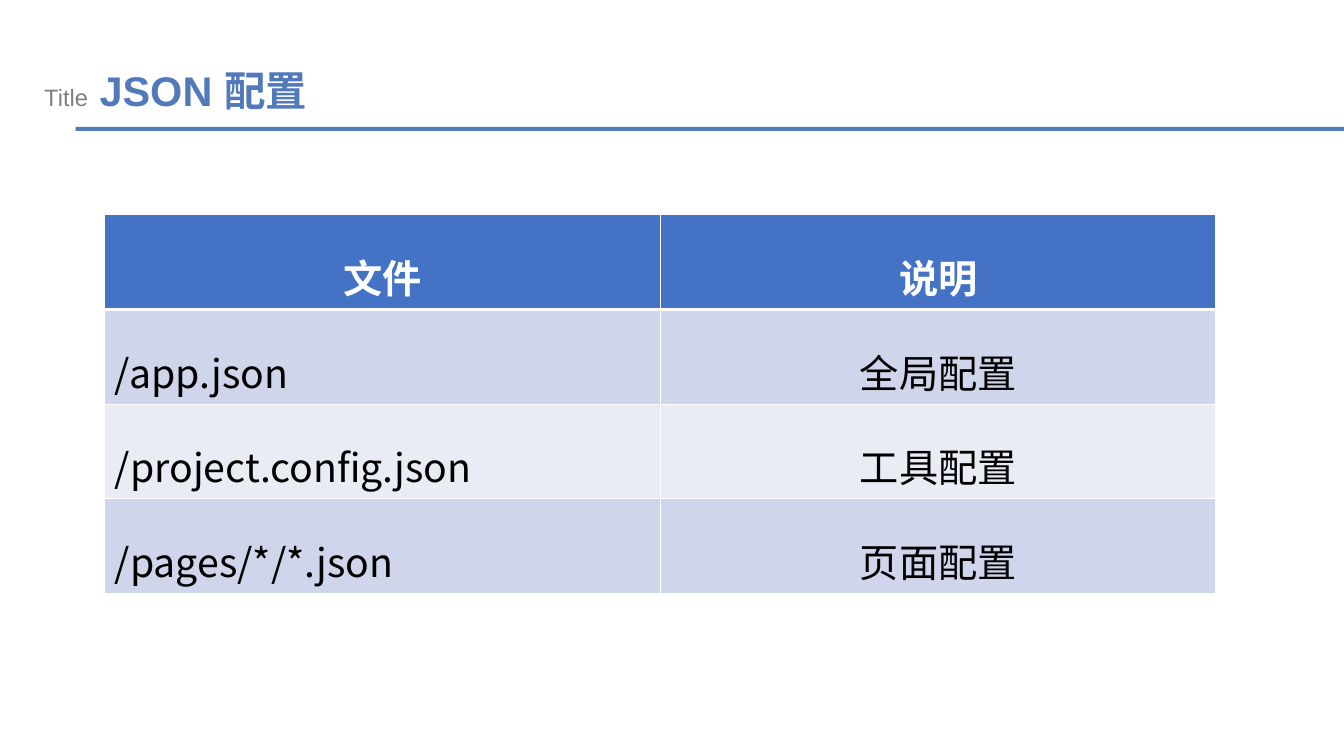
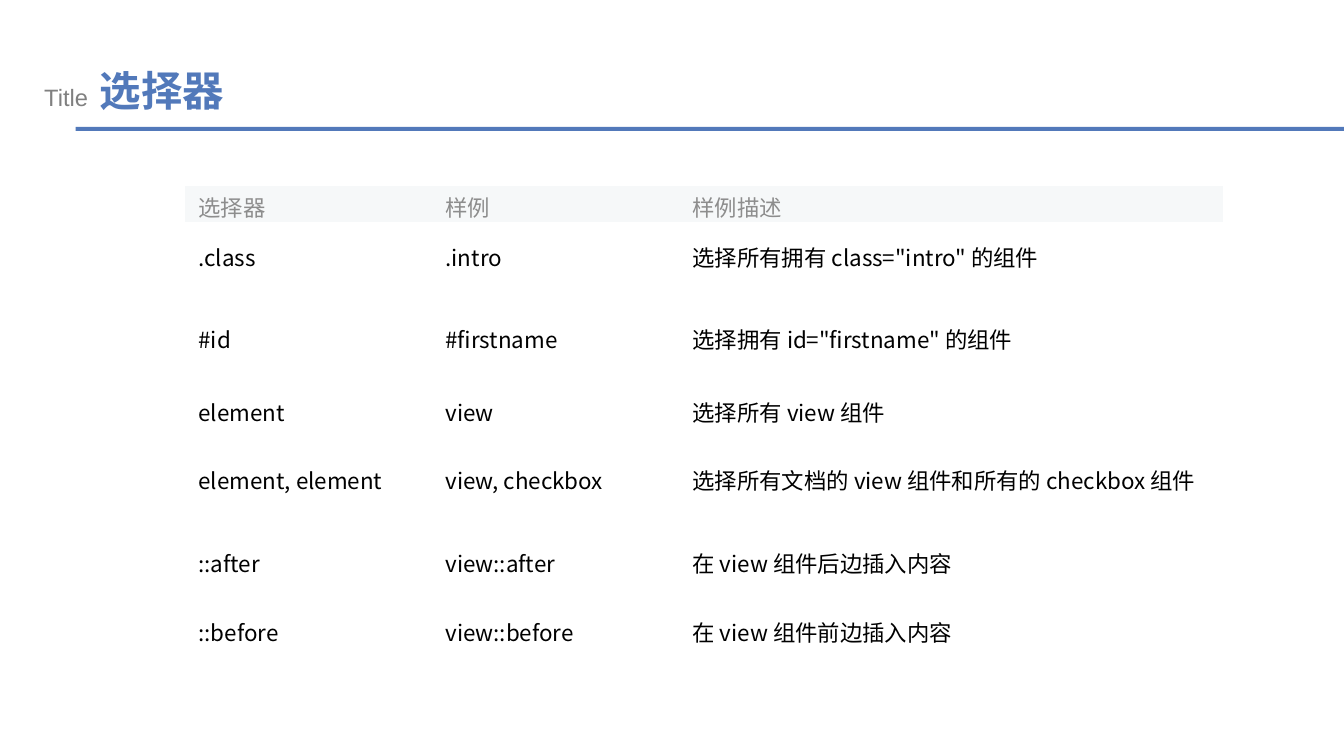
from dataclasses import dataclass

from lxml.etree import SubElement
from pptx import Presentation
from pptx.dml.color import RGBColor
from pptx.enum.text import MSO_ANCHOR as Anchor, MSO_AUTO_SIZE as AutoSize, PP_ALIGN as Align
from pptx.enum.shapes import MSO_SHAPE as Shape
from pptx.oxml.ns import qn
from pptx.util import Emu, Pt

PX = 9144  # 100 px to the inch


@dataclass(frozen=True)
class Theme:
    accent: str = "5279BA"
    muted: str = "808080"
    ink: str = "000000"
    paper: str = "FFFFFF"
    file_head: str = "4472C4"
    file_bands: tuple = ("CFD5EA", "E9EBF5")
    selector_head: str = "F6F8F9"
    selector_label: str = "8D8D8D"
    latin: str = "Arial"
    cjk: str = "Noto Sans CJK SC"
    tag_size: float = 16.9
    title_size: float = 29.6
    file_size: float = 28
    selector_size: float = 16


THEME = Theme()

FILES = [
    ("文件", "说明"),
    ("/app.json", "全局配置"),
    ("/project.config.json", "工具配置"),
    ("/pages/*/*.json", "页面配置"),
]

SELECTORS = [
    ("选择器", "样例", "样例描述"),
    (".class", ".intro", '选择所有拥有 class="intro" 的组件'),
    ("#id", "#firstname", '选择拥有 id="firstname" 的组件'),
    ("element", "view", "选择所有 view 组件"),
    ("element, element", "view, checkbox", "选择所有文档的 view 组件和所有的 checkbox 组件"),
    ("::after", "view::after", "在 view 组件后边插入内容"),
    ("::before", "view::before", "在 view 组件前边插入内容"),
]


def px(*lengths):
    return [Emu(length * PX) for length in lengths]


def rgb(value):
    return RGBColor.from_string(value)


# Text
def add_run(paragraph, text, size, color, latin, bold=False):
    run = paragraph.add_run()
    run.text = text
    font = run.font
    font.size, font.bold, font.name = Pt(size), bold, latin
    font.color.rgb = rgb(color)
    SubElement(font._element, qn("a:ea"), typeface=THEME.cjk)


# Heading shared by the slides
def add_titled_slide(deck, title):
    slide = deck.slides.add_slide(deck.slide_layouts[6])
    rule = slide.shapes.add_shape(Shape.RECTANGLE, *px(75, 126, 1258, 4))
    rule.shadow.inherit = False
    rule.fill.solid()
    rule.fill.fore_color.rgb = rgb(THEME.accent)
    rule.line.fill.background()

    frame = slide.shapes.add_textbox(*px(34, 60, 1074, 60)).text_frame
    frame.word_wrap = True
    frame.auto_size = AutoSize.SHAPE_TO_FIT_TEXT
    heading = frame.paragraphs[0]
    add_run(heading, "Title", THEME.tag_size, THEME.muted, THEME.latin)
    add_run(heading, " ", THEME.title_size, THEME.ink, THEME.latin)
    add_run(heading, title, THEME.title_size, THEME.accent, THEME.latin, bold=True)
    return slide


# Tables
def add_grid(slide, left, top, columns, heights):
    box = px(left, top, sum(columns), sum(heights))
    table = slide.shapes.add_table(len(heights), len(columns), *box).table
    table.horz_banding = False
    for column, width in zip(table.columns, px(*columns)):
        column.width = width
    for row, height in zip(table.rows, px(*heights)):
        row.height = height
    return table


def set_borders(cell, top=0, bottom=0, sides=0):
    """Widths are in points; zero leaves the edge without a line."""
    properties = cell._tc.get_or_add_tcPr()
    for edge, width in (("L", sides), ("R", sides), ("T", top), ("B", bottom)):
        line = SubElement(properties, qn(f"a:ln{edge}"), w=str(Pt(width)))
        if width:
            fill = SubElement(line, qn("a:solidFill"))
            SubElement(fill, qn("a:srgbClr"), val=THEME.paper)
        else:
            SubElement(line, qn("a:noFill"))


def fill_cell(cell, text, size, color, fill, bold=False):
    cell.fill.solid()
    cell.fill.fore_color.rgb = rgb(fill)
    paragraph = cell.text_frame.paragraphs[0]
    add_run(paragraph, text, size, color, THEME.cjk, bold)
    return paragraph


def add_file_table(slide):
    table = add_grid(slide, 104, 213, [551] * 2, [94] * len(FILES))
    for r, texts in enumerate(FILES):
        head = r == 0
        fill = THEME.file_head if head else THEME.file_bands[(r - 1) % 2]
        color = THEME.paper if head else THEME.ink
        for c, text in enumerate(texts):
            cell = table.cell(r, c)
            set_borders(cell, top=3 if r == 1 else 1, bottom=3 if head else 1, sides=1)
            paragraph = fill_cell(cell, text, THEME.file_size, color, fill, head)
            paragraph.line_spacing = 1.5
            paragraph.alignment = Align.CENTER if head or c == 1 else Align.LEFT


def add_selector_table(slide):
    table = add_grid(slide, 183, 185, [245, 245, 540], [35, 69, 95, 43, 95, 69, 69])
    for r, texts in enumerate(SELECTORS):
        head = r == 0
        fill = THEME.selector_head if head else THEME.paper
        color = THEME.selector_label if head else THEME.ink
        for c, text in enumerate(texts):
            cell = table.cell(r, c)
            set_borders(cell)
            cell.vertical_anchor = Anchor.MIDDLE
            cell.margin_left, cell.margin_right = px(14, 14)
            cell.margin_top, cell.margin_bottom = px(4, 4) if head else px(9, 9)
            fill_cell(cell, text, THEME.selector_size, color, fill)


def main():
    deck = Presentation()
    deck.slide_width, deck.slide_height = px(1333, 750)
    add_file_table(add_titled_slide(deck, "JSON 配置"))
    add_selector_table(add_titled_slide(deck, "选择器"))
    deck.save("out.pptx")


if __name__ == "__main__":
    main()
